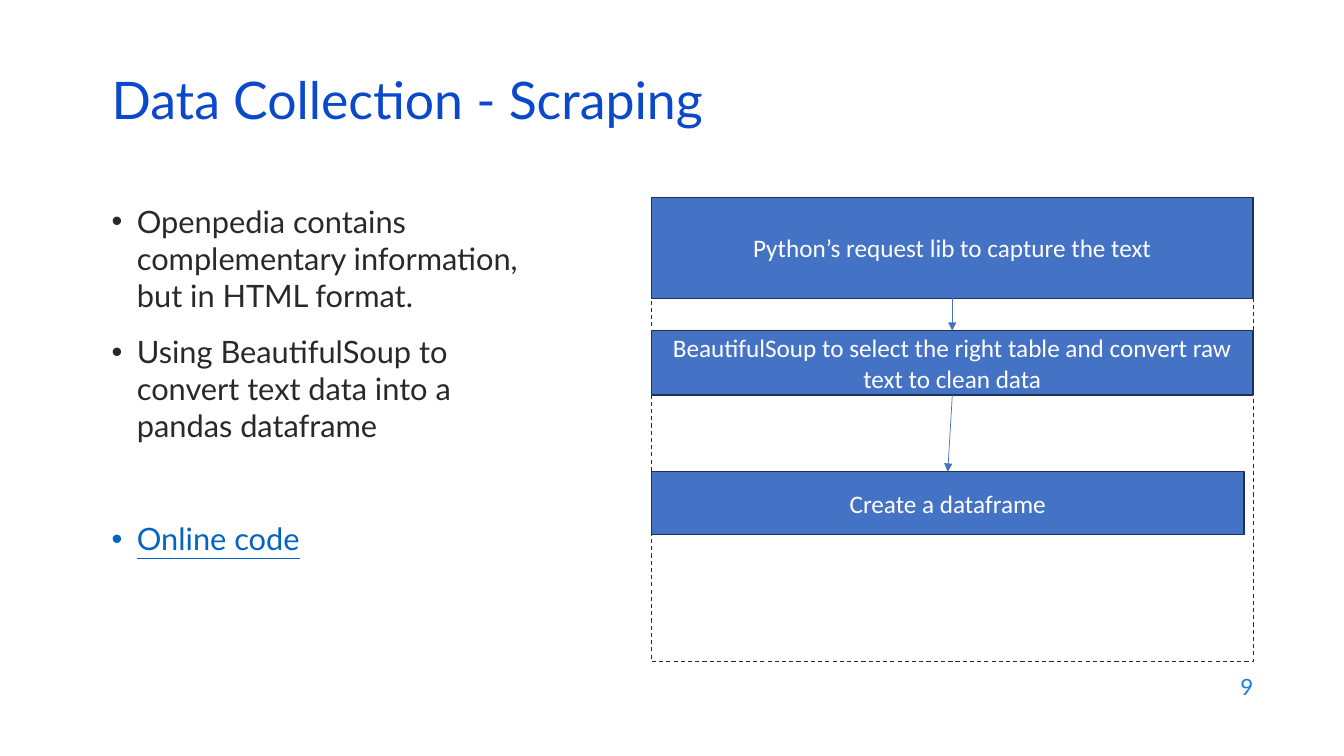
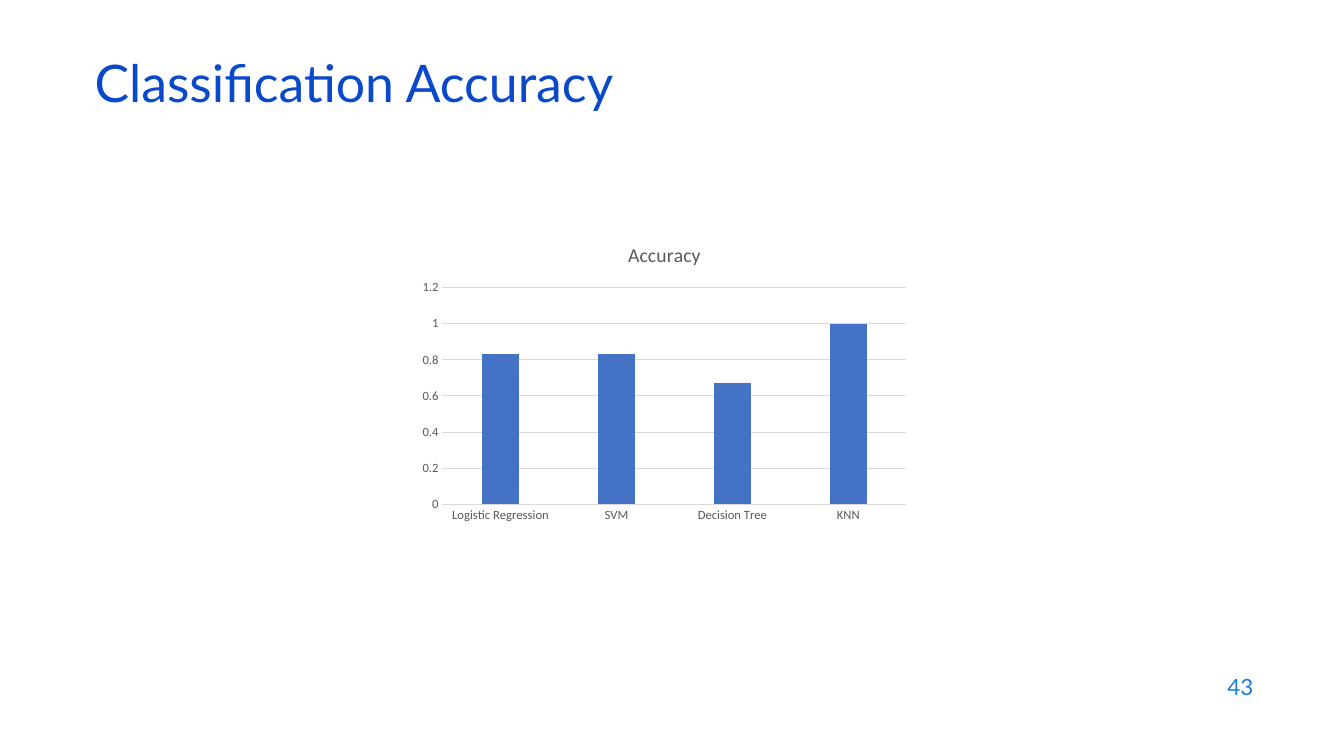
from lxml import etree
from pptx import Presentation
from pptx import util as u
from pptx.chart.data import CategoryChartData
from pptx.dml.color import RGBColor
from pptx.enum import chart as ch, dml, shapes, text
from pptx.oxml.ns import qn

TITLE = RGBColor(0x0B, 0x49, 0xCB)
NUMBER = RGBColor(0x1C, 0x7D, 0xDB)
BODY = RGBColor(0x29, 0x29, 0x29)
LINK = RGBColor(0x05, 0x63, 0xC1)
BLUE = RGBColor(0x44, 0x72, 0xC4)
EDGE = RGBColor(0x1E, 0x32, 0x56)
WHITE = RGBColor(0xFF, 0xFF, 0xFF)
GREY = RGBColor(0x59, 0x59, 0x59)
GRID = RGBColor(0xD9, 0xD9, 0xD9)


def set_font(font, name, size, color, **more):
    for key, value in dict(name=name, size=u.Pt(size), **more).items():
        setattr(font, key, value)
    font.color.rgb = color


def add_text(s, box, words, size, color, **fmt):
    tf = s.shapes.add_textbox(*map(u.Inches, box)).text_frame
    tf.word_wrap = True
    tf.vertical_anchor = text.MSO_ANCHOR.MIDDLE
    p = tf.paragraphs[0]
    for key, value in fmt.items():
        setattr(p, key, value)
    r = p.add_run()
    r.text = words
    set_font(r.font, "Lato", size, color)


prs = Presentation()
prs.slide_width, prs.slide_height = u.Inches(13.33), u.Inches(7.5)

slides = []
for title, left, top, number in [
    ("Data Collection - Scraping", 1.01, 0.76, "9"),
    ("Classification Accuracy", 0.84, 0.59, "43"),
]:
    s = prs.slides.add_slide(prs.slide_layouts[6])
    add_text(s, (9.53, 6.59, 3, 0.44), number, 16, NUMBER, alignment=text.PP_ALIGN.RIGHT)
    add_text(s, (left, top, 11.5, 0.6), title, 37, TITLE, line_spacing=0.7)
    slides.append(s)
scraping, accuracy = slides

tf = scraping.shapes.add_textbox(*map(u.Inches, (1.01, 1.96, 4.3, 4.17))).text_frame
tf.word_wrap = True
for i, (words, before, color, underline) in enumerate([
    ("Openpedia contains complementary information, but in HTML format.", 0, BODY, False),
    ("Using BeautifulSoup to convert text data into a pandas dataframe", 14, BODY, False),
    ("Online code", 54.4, LINK, True),
]):
    p = tf.add_paragraph() if i else tf.paragraphs[0]
    p.space_before = u.Pt(before)
    pPr = p._p.get_or_add_pPr()
    pPr.set("marL", str(u.Inches(0.25)))
    pPr.set("indent", str(u.Inches(-0.25)))
    etree.SubElement(pPr, qn("a:buFont")).set("typeface", "Arial")
    etree.SubElement(pPr, qn("a:buChar")).set("char", "•")
    r = p.add_run()
    r.text = words
    set_font(r.font, "Lato", 22, color, underline=underline)

frame = scraping.shapes.add_shape(
    shapes.MSO_SHAPE.RECTANGLE, *map(u.Inches, (6.46, 1.96, 5.97, 4.6)))
frame.shadow.inherit = False
frame.fill.background()
frame.line.color.rgb = BODY
frame.line.width = u.Pt(0.75)
frame.line.dash_style = dml.MSO_LINE.DASH

steps = []
for words, top, width, height in [
    ("Python’s request lib to capture the text", 1.96, 5.97, 1),
    ("BeautifulSoup to select the right table and convert raw text to clean data",
     3.28, 5.97, 0.64),
    ("Create a dataframe", 4.68, 5.88, 0.62),
]:
    sp = scraping.shapes.add_shape(
        shapes.MSO_SHAPE.RECTANGLE, *map(u.Inches, (6.46, top, width, height)))
    sp.shadow.inherit = False
    sp.fill.solid()
    sp.fill.fore_color.rgb = BLUE
    sp.line.color.rgb = EDGE
    sp.line.width = u.Pt(1)
    tf = sp.text_frame
    tf.word_wrap = True
    tf.vertical_anchor = text.MSO_ANCHOR.MIDDLE
    p = tf.paragraphs[0]
    p.alignment = text.PP_ALIGN.CENTER
    r = p.add_run()
    r.text = words
    set_font(r.font, "Calibri", 18, WHITE)
    steps.append(sp)

for start, end in zip(steps, steps[1:]):
    arrow = scraping.shapes.add_connector(shapes.MSO_CONNECTOR.STRAIGHT, 0, 0, 0, 0)
    arrow.begin_connect(start, 2)
    arrow.end_connect(end, 0)
    arrow.line.color.rgb = BLUE
    arrow.line.width = u.Pt(0.5)
    etree.SubElement(arrow.line._get_or_add_ln(), qn("a:tailEnd")).set("type", "triangle")
    etree.SubElement(arrow._element.spPr, qn("a:effectLst"))

data = CategoryChartData()
data.categories = ["Logistic Regression", "SVM", "Decision Tree", "KNN"]
data.add_series("Accuracy", [0.83, 0.83, 0.67, 1])
chart = accuracy.shapes.add_chart(
    ch.XL_CHART_TYPE.COLUMN_CLUSTERED, *map(u.Inches, (4.09, 2.25, 5, 3)), data).chart
set_font(chart.font, "Calibri", 10, GREY)
chart.has_legend = False
chart.has_title = True
p = chart.chart_title.text_frame.paragraphs[0]
r = p.add_run()
r.text = "Accuracy"
set_font(r.font, "Calibri", 14, GREY, bold=False)
chart.chart_title.include_in_layout = False

plot = chart.plots[0]
plot.gap_width, plot.overlap, plot.vary_by_categories = 219, -27, False
fill = plot.series[0].format.fill
fill.solid()
fill.fore_color.rgb = BLUE

cat, val = chart.category_axis, chart.value_axis
for axis in (cat, val):
    axis.major_tick_mark = axis.minor_tick_mark = ch.XL_TICK_MARK.NONE
    set_font(axis.tick_labels.font, "Calibri", 9, GREY)
val.minimum_scale, val.maximum_scale, val.major_unit = 0, 1.2, 0.2
val.tick_labels.number_format = "General"
val.tick_labels.number_format_is_linked = False
val.has_major_gridlines = True
val.format.line.fill.background()
for line in (cat.format.line, val.major_gridlines.format.line):
    line.color.rgb = GRID
    line.width = u.Pt(0.75)

prs.save("out.pptx")
